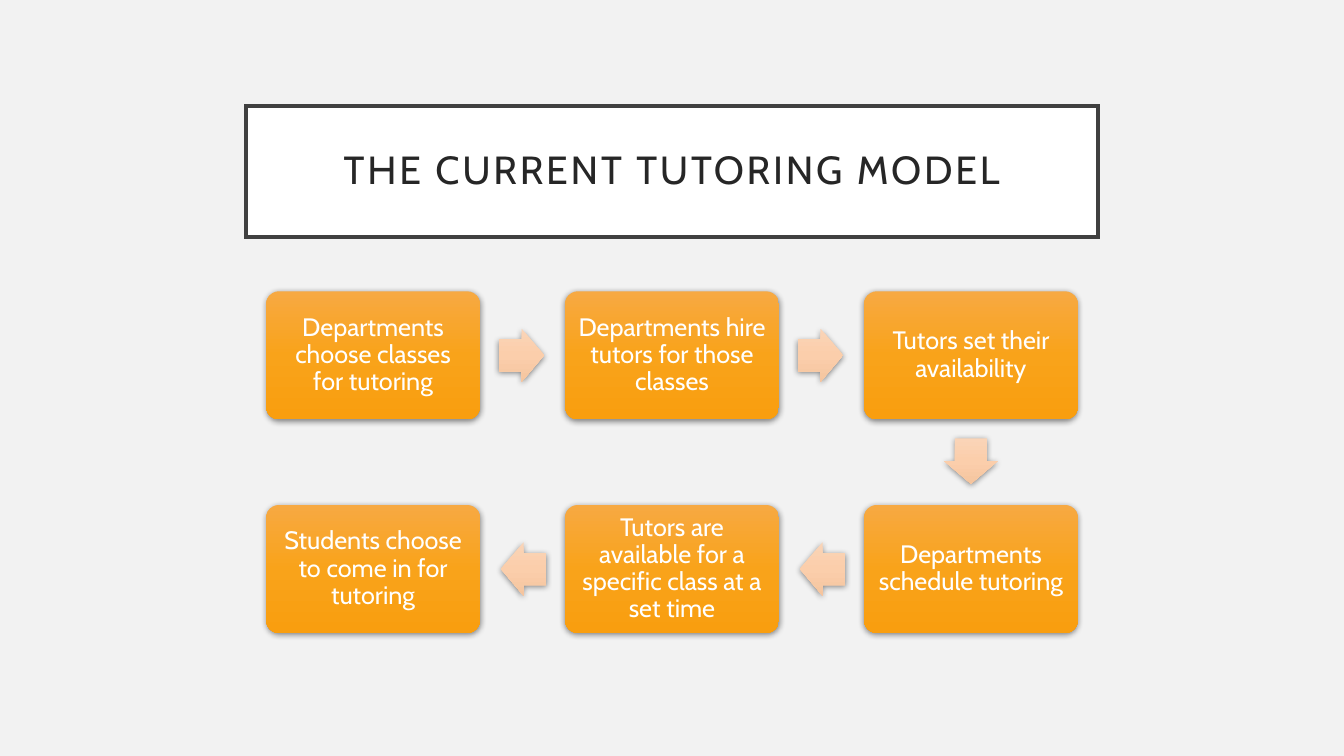
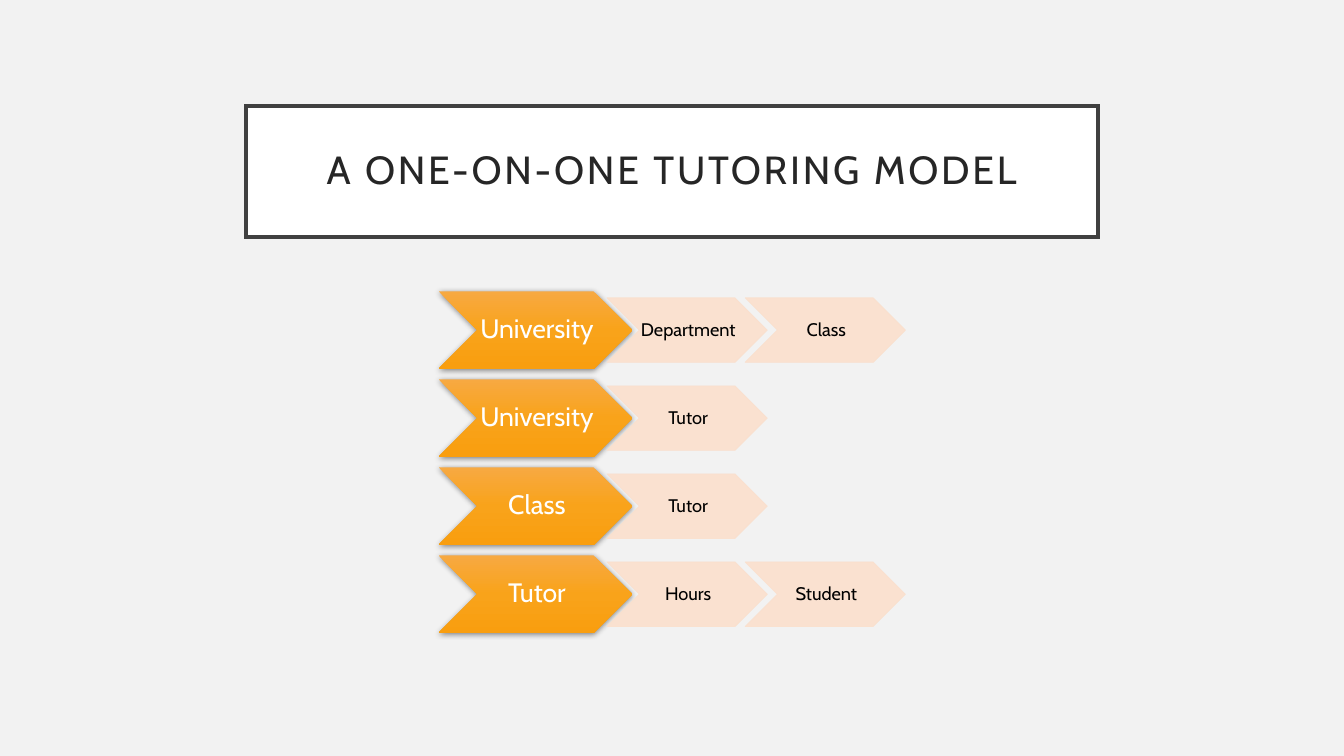
from copy import deepcopy
import math

from lxml import etree
from pptx import Presentation
from pptx.dml.color import RGBColor
from pptx.enum import shapes, text
from pptx.oxml.ns import qn
from pptx.util import Inches, Pt

COLORS = {
    "background": "F2F2F2",
    "white": "FFFFFF",
    "black": "000000",
    "title_text": "262626",
    "title_line": "404040",
    "pale": "FBE0CD",
}
ORANGE = ("F7A942", "F9A31A", "F99E0F")
PEACH = ("FAD4B7", "FBCEAB", "F5C59F")
FONT = "Cabin"
SHAPE = shapes.MSO_SHAPE

DIAGRAM_TOP, DIAGRAM_BOTTOM = 2.89, 6.28

STEPS = [
    "Departments choose classes for tutoring",
    "Departments hire tutors for those classes",
    "Tutors set their availability",
    "Departments schedule tutoring",
    "Tutors are available for a specific class at a set time",
    "Students choose to come in for tutoring",
]
STEP_COLUMNS = 3
STEPS_LEFT, STEPS_RIGHT = 2.64, 10.69
STEP_W, STEP_H = 2.12, 1.27
ARROW_W, ARROW_H = 0.45, 0.53
ARROW_SETBACK = 0.01

CHAINS = [
    ("University", "Department", "Class"),
    ("University", "Tutor"),
    ("Class", "Tutor"),
    ("Tutor", "Hours", "Student"),
]
HEAD_X, HEAD_W, HEAD_H = 4.35, 1.92, 0.77
LINK_X, LINK_W, LINK_H = 6.02, 1.59, 0.64
LINK_PITCH = 1.37


def rgb(name):
    return RGBColor.from_string(COLORS[name])


def add_shape(slide, kind, x, y, w, h):
    sp = slide.shapes.add_shape(kind, Inches(x), Inches(y), Inches(w), Inches(h))
    sp.shadow.inherit = False
    sp.line.fill.background()
    return sp


def write(sp, words, size=18, color="white", insets=(0, 0, 0, 0), spacing=0, wrap=True):
    """Centre words in a shape; insets run left, top, right, bottom."""
    tf = sp.text_frame
    tf.word_wrap = wrap
    tf.vertical_anchor = text.MSO_ANCHOR.MIDDLE
    tf.margin_left, tf.margin_top, tf.margin_right, tf.margin_bottom = map(Inches, insets)
    p = tf.paragraphs[0]
    p.alignment = text.PP_ALIGN.CENTER
    p.line_spacing = 0.9
    r = p.add_run()
    r.text = words
    r.font.name = FONT
    r.font.size = Pt(size)
    r.font.color.rgb = rgb(color)
    if spacing:
        r.font._element.set("spc", str(spacing * 100))


def fill_gradient(sp, stops):
    """Fill from top to bottom with three evenly spaced colours, however the shape turns."""
    sp.fill.gradient()
    sp.fill.gradient_angle = 270
    sp._element.spPr.find(qn("a:gradFill")).set("rotWithShape", "0")
    gs_list = sp._element.spPr.find(".//" + qn("a:gsLst"))
    gs_list.insert(1, deepcopy(gs_list[0]))
    for i, (stop, color) in enumerate(zip(sp.fill.gradient_stops, stops)):
        stop.position = i / 2
        stop.color.rgb = RGBColor.from_string(color)


def add_shadow(sp):
    effects = sp._element.spPr.find(qn("a:effectLst"))
    shadow = etree.SubElement(
        effects, qn("a:outerShdw"), blurRad=str(Pt(4.4)), dist=str(Pt(1.2)),
        dir="5400000", algn="ctr", rotWithShape="0")
    color = etree.SubElement(shadow, qn("a:srgbClr"), val=COLORS["black"])
    etree.SubElement(color, qn("a:alpha"), val="45000")


def add_raised(slide, kind, x, y, w, h, stops):
    """Add a shape with a gradient and a soft shadow."""
    sp = add_shape(slide, kind, x, y, w, h)
    fill_gradient(sp, stops)
    add_shadow(sp)
    return sp


def add_titled_slide(prs, title):
    slide = prs.slides.add_slide(prs.slide_layouts[6])
    slide.background.fill.solid()
    slide.background.fill.fore_color.rgb = rgb("background")
    sp = add_shape(slide, SHAPE.RECTANGLE, 2.44, 1.05, 8.45, 1.3)
    sp.fill.solid()
    sp.fill.fore_color.rgb = rgb("white")
    sp.line.color.rgb = rgb("title_line")
    sp.line.width = Pt(2.5)
    etree.SubElement(sp._element.spPr.find(qn("a:ln")), qn("a:miter"), lim="800000")
    write(sp, title, size=28, color="title_text", insets=(0.2,) * 4, spacing=2)
    return slide


def step_center(i):
    """Place steps left to right, then right to left on the next row."""
    row, column = divmod(i, STEP_COLUMNS)
    if row % 2:
        column = STEP_COLUMNS - 1 - column
    pitch_x = (STEPS_RIGHT - STEPS_LEFT - STEP_W) / (STEP_COLUMNS - 1)
    pitch_y = DIAGRAM_BOTTOM - DIAGRAM_TOP - STEP_H
    return (STEPS_LEFT + STEP_W / 2 + column * pitch_x,
            DIAGRAM_TOP + STEP_H / 2 + row * pitch_y)


def add_step(slide, center, words):
    x, y = center
    sp = add_raised(slide, SHAPE.ROUNDED_RECTANGLE, x - STEP_W / 2, y - STEP_H / 2,
                    STEP_W, STEP_H, ORANGE)
    sp.adjustments[0] = 0.1
    write(sp, words, insets=(0.08, 0.07, 0.08, 0.07))


def add_step_arrow(slide, start, end):
    """Add a block arrow halfway between two step centres."""
    angle = math.atan2(end[1] - start[1], end[0] - start[0])
    x = (start[0] + end[0]) / 2 - ARROW_SETBACK * math.cos(angle)
    y = (start[1] + end[1]) / 2 - ARROW_SETBACK * math.sin(angle)
    sp = add_raised(slide, SHAPE.RIGHT_ARROW, x - ARROW_W / 2, y - ARROW_H / 2,
                    ARROW_W, ARROW_H, PEACH)
    sp.adjustments[0] = 0.6
    sp.adjustments[1] = 0.5
    sp.rotation = round(math.degrees(angle))


def add_link(slide, x, y, words):
    sp = add_shape(slide, SHAPE.CHEVRON, x, y, LINK_W, LINK_H)
    sp.fill.solid()
    sp.fill.fore_color.rgb = rgb("pale")
    sp.line.color.rgb = rgb("pale")
    sp.line.width = Pt(0.5)
    for color in sp._element.spPr.iter(qn("a:srgbClr")):
        etree.SubElement(color, qn("a:alpha"), val="90000")
    write(sp, words, size=13, color="black", insets=(0.02, 0.01, 0, 0.01), wrap=False)


def add_chain(slide, y, head, links):
    sp = add_raised(slide, SHAPE.CHEVRON, HEAD_X, y, HEAD_W, HEAD_H, ORANGE)
    write(sp, head, size=19, insets=(0.03, 0.01, 0, 0.01), wrap=False)
    for i, words in enumerate(links):
        add_link(slide, LINK_X + i * LINK_PITCH, y + (HEAD_H - LINK_H) / 2, words)


def build_current_model(prs):
    slide = add_titled_slide(prs, "THE CURRENT TUTORING MODEL")
    centers = [step_center(i) for i in range(len(STEPS))]
    for center, words in zip(centers, STEPS):
        add_step(slide, center, words)
    for start, end in zip(centers, centers[1:]):
        add_step_arrow(slide, start, end)


def build_one_on_one_model(prs):
    slide = add_titled_slide(prs, "A ONE-ON-ONE TUTORING MODEL")
    pitch = (DIAGRAM_BOTTOM - DIAGRAM_TOP - HEAD_H) / (len(CHAINS) - 1)
    for i, (head, *links) in enumerate(CHAINS):
        add_chain(slide, DIAGRAM_TOP + i * pitch, head, links)


def main():
    prs = Presentation()
    prs.slide_width, prs.slide_height = Inches(13.33), Inches(7.5)
    build_current_model(prs)
    build_one_on_one_model(prs)
    prs.save("out.pptx")


if __name__ == "__main__":
    main()
